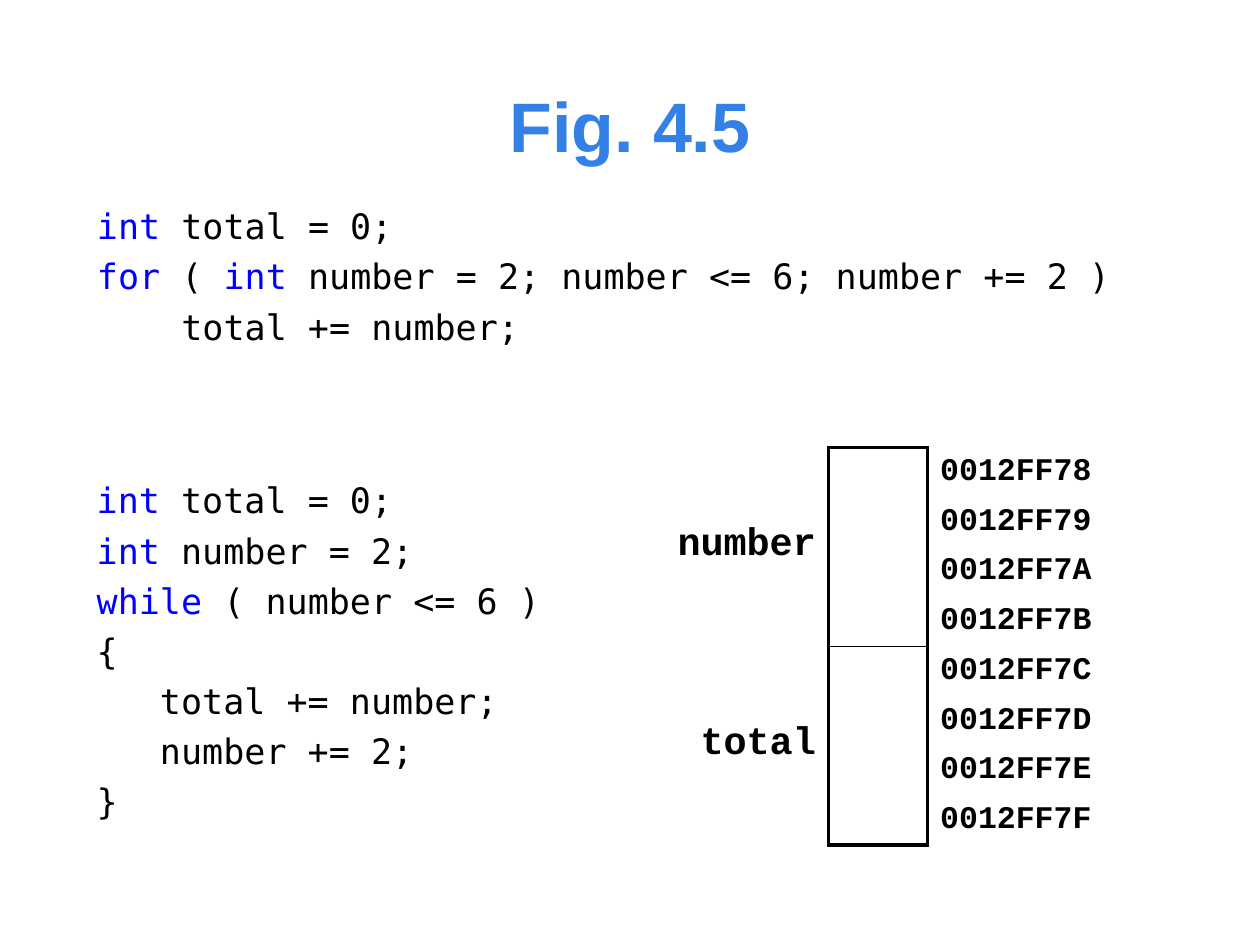
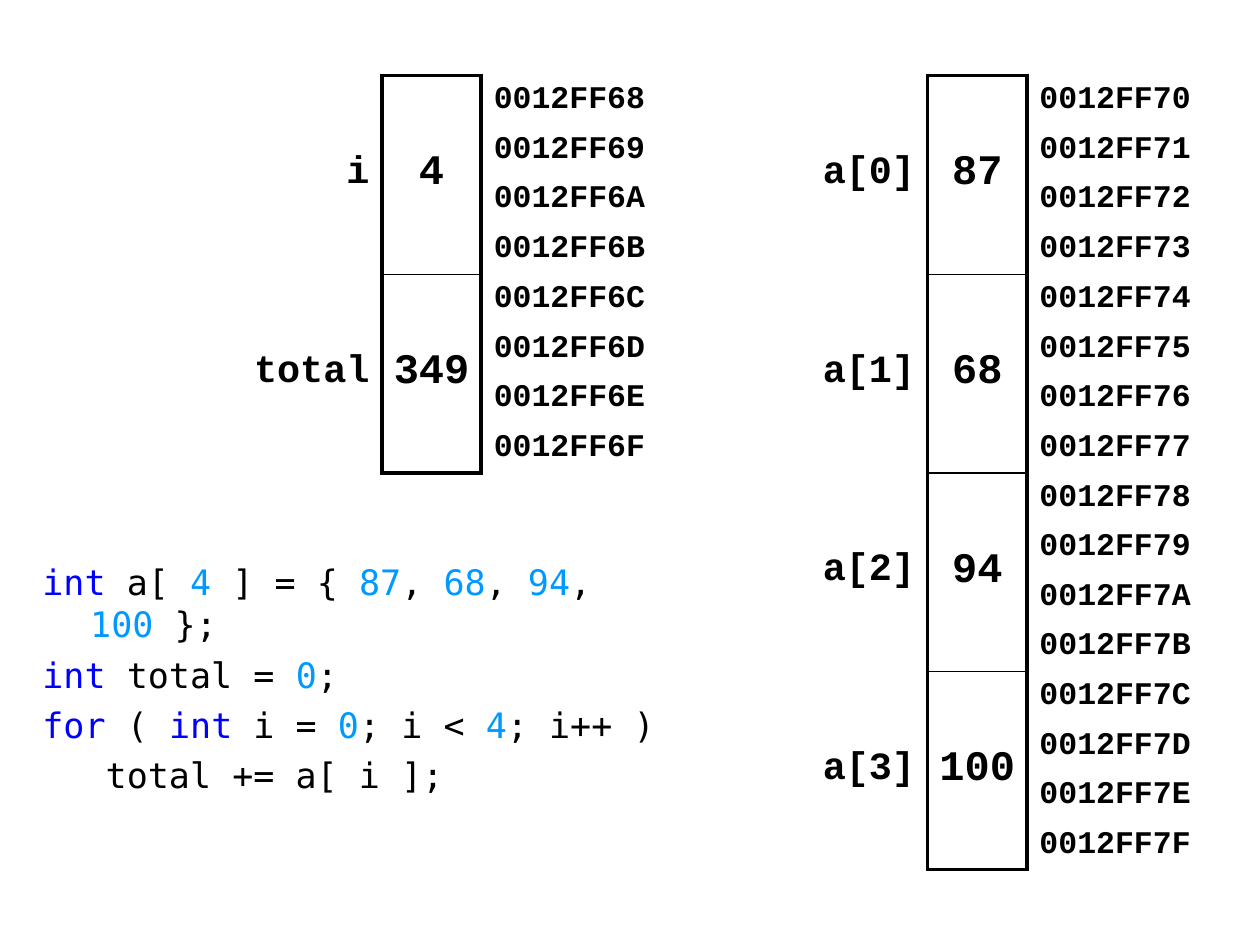
from dataclasses import dataclass
from itertools import groupby

from lxml import etree
from pptx import Presentation
from pptx.dml.color import RGBColor
from pptx.enum.text import MSO_ANCHOR, MSO_AUTO_SIZE, PP_ALIGN
from pptx.oxml.ns import qn
from pptx.util import Cm, Inches, Pt

LEFT, CENTER, RIGHT = PP_ALIGN.LEFT, PP_ALIGN.CENTER, PP_ALIGN.RIGHT
MIDDLE = MSO_ANCHOR.MIDDLE
NO_AUTOFIT = MSO_AUTO_SIZE.NONE

BLACK = RGBColor(0x00, 0x00, 0x00)
TITLE_BLUE = RGBColor(0x33, 0x80, 0xE6)
KEYWORD_BLUE = RGBColor(0x00, 0x00, 0xFF)
NUMBER_BLUE = RGBColor(0x00, 0x99, 0xFF)

TITLE_FONT = "Arial"
CODE_FONT = "DejaVu Sans Mono"
MEMORY_FONT = "Courier New"
KEYWORDS = {"int", "for", "while"}

GRID = Cm(1)
CODE_GAP = Pt(4.66)
WORD_BYTES = 4
VALUE_COLUMNS, ADDRESS_COLUMNS = 2, 4
THICK, THIN = Pt(2.25), Pt(1)
PLAIN_TABLE_STYLE = "{2D5ABB26-0587-4C30-8999-92F81FD0307C}"


@dataclass(frozen=True)
class Box:
    column: float
    row: float
    columns: float
    rows: float

    def lengths(self) -> list[int]:
        return [round(n * GRID) for n in (self.column, self.row, self.columns, self.rows)]


@dataclass(frozen=True)
class Code:
    box: Box
    text: str
    hanging_indent: float
    number_color: RGBColor = BLACK


@dataclass(frozen=True)
class Memory:
    column: float
    row: float
    label_columns: float
    first_address: int
    words: dict[str, str]


@dataclass(frozen=True)
class CellStyle:
    size: int
    alignment: PP_ALIGN
    side_margin: float
    top_margin: float
    bottom_margin: float


LABEL_STYLE = CellStyle(22, RIGHT, 0.1, 0, 0.02)
VALUE_STYLE = CellStyle(24, CENTER, 0.08, 0, 0.02)
ADDRESS_STYLE = CellStyle(18, LEFT, 0.1, 0.04, 0.04)

FOR_LOOP = Code(Box(1.7, 4, 22, 3.5), """int total = 0;
for ( int number = 2; number <= 6; number += 2 )
    total += number;""", 0.69)

WHILE_LOOP = Code(Box(1.7, 9.53, 9.5, 7.5), """int total = 0;
int number = 2;
while ( number <= 6 )
{
   total += number;
   number += 2;
}""", 0.69)

ARRAY_LOOP = Code(Box(0.6, 11.18, 14.3, 4.4), """int a[ 4 ] = { 87, 68, 94, 100 };
int total = 0;
for ( int i = 0; i < 4; i++ )
   total += a[ i ];""", 0.38, NUMBER_BLUE)

LOOP_MEMORY = Memory(13.2, 9.02, 3.5, 0x0012FF78, {"number": "", "total": ""})
ARRAY_MEMORY = Memory(16.2, 1.52, 2.5, 0x0012FF70,
                      {"a[0]": "87", "a[1]": "68", "a[2]": "94", "a[3]": "100"})
SUM_MEMORY = Memory(4.7, 1.52, 3, 0x0012FF68, {"i": "4", "total": "349"})


def place(shape, box: Box) -> None:
    shape.left, shape.top, shape.width, shape.height = box.lengths()


def color_runs(line: str, number_color: RGBColor) -> list[tuple[RGBColor, str]]:
    pieces = []
    for _, letters in groupby(line, str.isalnum):
        word = "".join(letters)
        color = KEYWORD_BLUE if word in KEYWORDS else number_color if word.isdigit() else BLACK
        pieces.append((color, word))
    return [(color, "".join(word for _, word in group))
            for color, group in groupby(pieces, lambda piece: piece[0])]


def write_code(shape, code: Code) -> None:
    place(shape, code.box)
    frame = shape.text_frame
    frame.word_wrap = True
    frame.auto_size = NO_AUTOFIT
    indent = Inches(code.hanging_indent)
    for index, line in enumerate(code.text.splitlines()):
        paragraph = frame.add_paragraph() if index else frame.paragraphs[0]
        paragraph.space_before = CODE_GAP if index else 0
        properties = paragraph._p.get_or_add_pPr()
        properties.set("marL", str(indent))
        properties.set("indent", str(-indent))
        etree.SubElement(properties, qn("a:buNone"))
        paragraph.font.name = CODE_FONT
        paragraph.font.size = Pt(20)
        for color, text in color_runs(line, code.number_color):
            run = paragraph.add_run()
            run.text = text
            run.font.color.rgb = color


def write_cell(cell, text: str, style: CellStyle) -> None:
    cell.fill.background()
    cell.vertical_anchor = MIDDLE
    cell.margin_left = cell.margin_right = Inches(style.side_margin)
    cell.margin_top = Inches(style.top_margin)
    cell.margin_bottom = Inches(style.bottom_margin)
    paragraph = cell.text_frame.paragraphs[0]
    paragraph.alignment = style.alignment
    font = paragraph.font
    font.name, font.size, font.bold = MEMORY_FONT, Pt(style.size), True
    font.color.rgb = BLACK
    if text:
        paragraph.add_run().text = text


def set_borders(cell, **widths: int) -> None:
    properties = cell._tc.get_or_add_tcPr()
    sides = [side for side in ("lnL", "lnR", "lnT", "lnB") if side in widths]
    for index, side in enumerate(sides):
        line = etree.Element(qn(f"a:{side}"), w=str(widths[side]))
        fill = etree.SubElement(line, qn("a:solidFill"))
        etree.SubElement(fill, qn("a:srgbClr"), val=str(BLACK))
        properties.insert(index, line)


def draw_memory(slide, memory: Memory) -> None:
    widths = (memory.label_columns, VALUE_COLUMNS, ADDRESS_COLUMNS)
    rows = len(memory.words) * WORD_BYTES
    box = Box(memory.column, memory.row, sum(widths), rows)
    frame = slide.shapes.add_table(rows, len(widths), *box.lengths())
    table = frame.table
    table.first_row = table.horz_banding = False
    table._tbl.tblPr.find(qn("a:tableStyleId")).text = PLAIN_TABLE_STYLE
    for column, width in zip(table.columns, widths):
        column.width = round(width * GRID)
    for row in table.rows:
        row.height = GRID

    words = list(memory.words.items())
    for row in range(rows):
        word, byte = divmod(row, WORD_BYTES)
        name, value = words[word] if byte == 0 else ("", "")
        label, content, address = (table.cell(row, column) for column in range(3))
        write_cell(label, name, LABEL_STYLE)
        write_cell(content, value, VALUE_STYLE)
        write_cell(address, f"{memory.first_address + row:08X}", ADDRESS_STYLE)

        edges = {"lnL": THICK, "lnR": THICK}
        if byte == 0:
            edges["lnT"] = THIN if word else THICK
        if byte in (0, WORD_BYTES - 1):
            edges["lnB"] = THICK if word == len(words) - 1 else THIN
        set_borders(label, lnR=THICK)
        set_borders(content, **edges)
        set_borders(address, lnL=THICK)

    for top in range(0, rows, WORD_BYTES):
        for column in range(2):
            table.cell(top, column).merge(table.cell(top + WORD_BYTES - 1, column))


def write_title(shape, text: str) -> None:
    place(shape, Box(8.2, 1.52, 9, 2))
    frame = shape.text_frame
    frame.text = text
    frame.auto_size = NO_AUTOFIT
    frame.vertical_anchor = MIDDLE
    paragraph = frame.paragraphs[0]
    paragraph.alignment = CENTER
    font = paragraph.font
    font.name, font.size, font.bold = TITLE_FONT, Pt(40), True
    font.color.rgb = TITLE_BLUE


def build_loop_slide(presentation) -> None:
    slide = presentation.slides.add_slide(presentation.slide_layouts[1])
    write_title(slide.shapes.title, "Fig. 4.5")
    write_code(slide.placeholders[1], FOR_LOOP)
    draw_memory(slide, LOOP_MEMORY)
    write_code(slide.shapes.add_textbox(*WHILE_LOOP.box.lengths()), WHILE_LOOP)


def build_array_slide(presentation) -> None:
    slide = presentation.slides.add_slide(presentation.slide_layouts[1])
    title = slide.shapes.title._element
    title.getparent().remove(title)
    write_code(slide.placeholders[1], ARRAY_LOOP)
    draw_memory(slide, ARRAY_MEMORY)
    draw_memory(slide, SUM_MEMORY)


def main() -> None:
    presentation = Presentation()
    presentation.slide_width = Inches(10)
    presentation.slide_height = Inches(7.5)
    build_loop_slide(presentation)
    build_array_slide(presentation)
    presentation.save("out.pptx")


if __name__ == "__main__":
    main()
